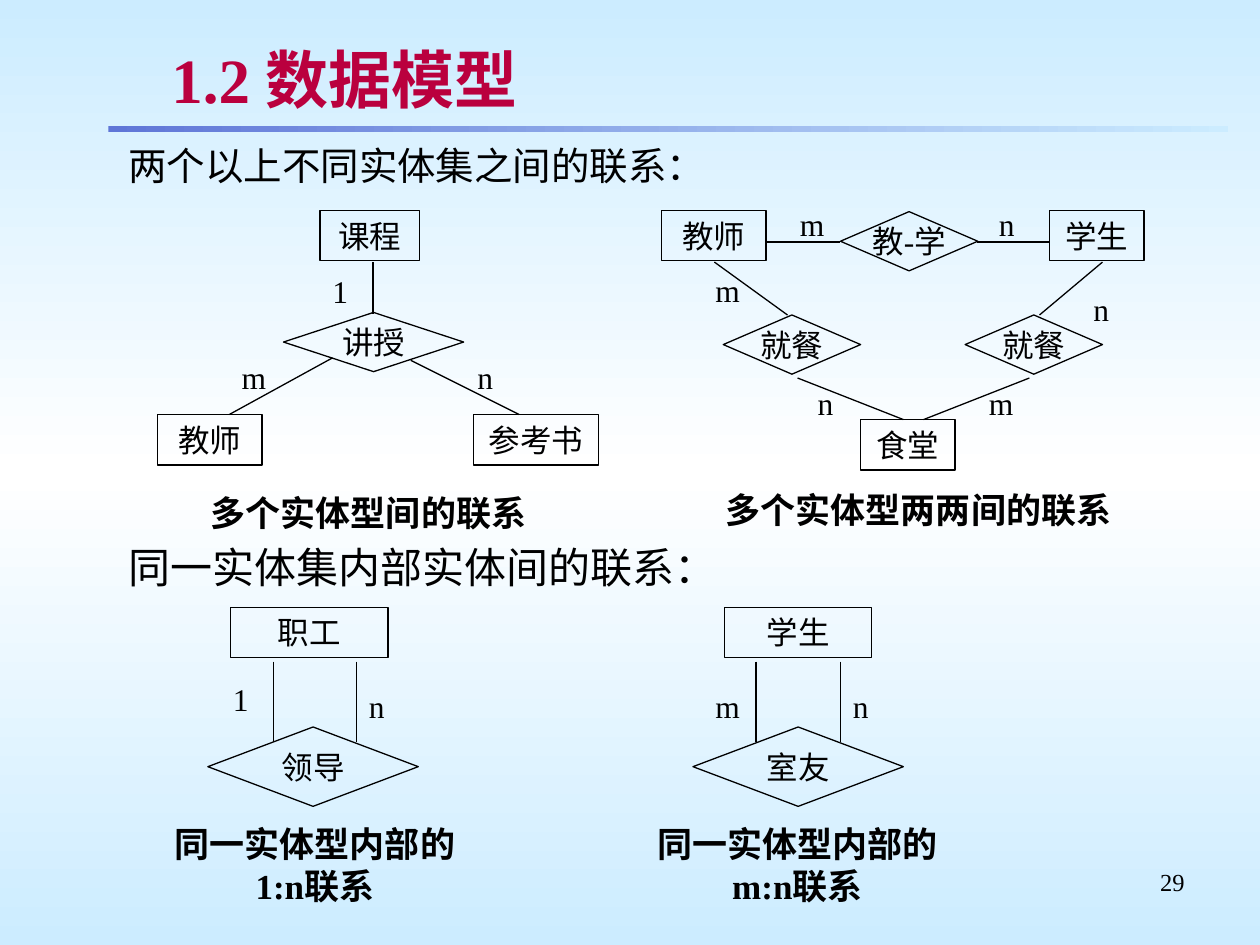
from copy import deepcopy
from dataclasses import dataclass
from typing import Any

from lxml import etree
from pptx import Presentation
from pptx.dml.color import RGBColor
from pptx.enum.shapes import MSO_CONNECTOR, MSO_SHAPE
from pptx.enum.text import MSO_ANCHOR, PP_ALIGN
from pptx.oxml.ns import qn
from pptx.util import Inches, Pt

BLACK = RGBColor(0x00, 0x00, 0x00)
WHITE = RGBColor(0xFF, 0xFF, 0xFF)
SKY = RGBColor(0xCC, 0xEC, 0xFF)
BLUE = RGBColor(0x5F, 0x76, 0xD7)
RED = RGBColor(0xBA, 0x00, 0x3E)
GREY = RGBColor(0xB2, 0xB2, 0xB2)

RECT, DIAMOND = MSO_SHAPE.RECTANGLE, MSO_SHAPE.DIAMOND
LINE = MSO_CONNECTOR.STRAIGHT
TOP, MIDDLE = MSO_ANCHOR.TOP, MSO_ANCHOR.MIDDLE
LEFT, CENTER, RIGHT = PP_ALIGN.LEFT, PP_ALIGN.CENTER, PP_ALIGN.RIGHT

SERIF, SANS = "Times New Roman", "Arial"
PLAIN = {"name": SERIF, "size": Pt(18), "bold": False}
BOLD = {**PLAIN, "size": Pt(20), "bold": True}
ROW = 0.4


@dataclass
class Node:
    text: str
    x: float
    y: float
    w: float
    h: float = ROW


@dataclass
class Link:
    x1: float
    y1: float
    x2: float
    y2: float


@dataclass
class Label:
    text: str
    x: float
    y: float


ENTITIES = [
    Node("课程", 2.54, 1.67, 0.79),
    Node("教师", 1.25, 3.29, 0.83),
    Node("参考书", 3.76, 3.29, 0.99),
    Node("教师", 5.25, 1.67, 0.83),
    Node("学生", 8.33, 1.67, 0.75),
    Node("食堂", 6.83, 3.33, 0.75),
    Node("职工", 1.83, 4.82, 1.25),
    Node("学生", 5.75, 4.82, 1.17),
]
BONDS = [
    Node("讲授", 2.25, 2.48, 1.43, 0.47),
    Node("教-学", 6.67, 1.68, 1.09, 0.47),
    Node("就餐", 5.74, 2.5, 1.09, 0.47),
    Node("就餐", 7.66, 2.5, 1.09, 0.47),
    Node("领导", 1.65, 5.77, 1.67, 0.63),
    Node("室友", 5.5, 5.77, 1.67, 0.63),
]
LINKS = [
    Link(2.96, 2.49, 2.96, 2.08),
    Link(1.82, 3.29, 2.64, 2.84),
    Link(3.26, 2.86, 4.12, 3.29),
    Link(6.08, 1.92, 6.67, 1.92),
    Link(7.75, 1.92, 8.33, 1.92),
    Link(5.67, 2.08, 6.25, 2.5),
    Link(8.25, 2.5, 8.75, 2.08),
    Link(6.33, 3, 7.17, 3.33),
    Link(7.33, 3.33, 8.17, 3),
    *(Link(x, 5.25, x, 5.89) for x in (2.17, 2.83, 6, 6.67)),
]
LABELS = [
    Label("1", 2.54, 2.11),
    Label("m", 1.82, 2.79),
    Label("n", 3.69, 2.79),
    Label("m", 6.25, 1.58),
    Label("n", 7.83, 1.58),
    Label("m", 5.58, 2.1),
    Label("n", 8.58, 2.25),
    Label("n", 6.39, 3),
    Label("m", 7.75, 3),
    Label("1", 1.75, 5.35),
    Label("n", 2.83, 5.4),
    Label("m", 5.58, 5.4),
    Label("n", 6.67, 5.4),
]
NOTES = [
    Node("多个实体型间的联系", 1.17, 3.85, 3.51, 0.44),
    Node("多个实体型两两间的联系", 5.33, 3.83, 3.92, 0.44),
    Node("同一实体型内部的1:n联系", 1.25, 6.48, 2.5, 0.77),
    Node("同一实体型内部的m:n联系", 5.08, 6.48, 2.5, 0.77),
]


def place(shape: Any, x: float, y: float, w: float, h: float) -> None:
    spots = {"left": x, "top": y, "width": w, "height": h}
    for key, value in spots.items():
        setattr(shape, key, Inches(value))


def write(shape: Any, text: str, style: dict[str, Any], align: Any = LEFT,
          anchor: Any = TOP, wrap: bool = True, color: RGBColor = BLACK,
          inset: float = 0.05, indent: bool = False) -> Any:
    frame = shape.text_frame
    frame.text = text
    form = {"word_wrap": wrap, "vertical_anchor": anchor,
            "margin_left": Inches(0.1), "margin_right": Inches(0.1),
            "margin_top": Inches(inset), "margin_bottom": Inches(inset)}
    for key, value in form.items():
        setattr(frame, key, value)
    para = frame.paragraphs[0]
    para.alignment = align
    para.space_before = Pt(0)
    if indent:
        para.level = 1
        props = para._p.get_or_add_pPr()
        props.set("marL", str(Inches(0.81)))
        props.set("indent", str(Inches(-0.31)))
        etree.SubElement(props, qn("a:buNone"))
    run = para.runs[0]
    for key, value in style.items():
        setattr(run.font, key, value)
    run.font.color.rgb = color
    return run


def box(slide: Any, node: Node, style: dict[str, Any], **form: Any) -> None:
    shape = slide.shapes.add_textbox(0, 0, 0, 0)
    place(shape, node.x, node.y, node.w, node.h)
    write(shape, node.text, style, **form)


def draw(slide: Any, node: Node, kind: Any, **form: Any) -> None:
    shape = slide.shapes.add_shape(kind, 0, 0, 0, 0)
    place(shape, node.x, node.y, node.w, node.h)
    shape.shadow.inherit = False
    shape.fill.background()
    shape.line.color.rgb = BLACK
    shape.line.width = Pt(0.75)
    write(shape, node.text, PLAIN, CENTER, **form)


def join(slide: Any, link: Link) -> None:
    ends = (Inches(v) for v in (link.x1, link.y1, link.x2, link.y2))
    line = slide.shapes.add_connector(LINE, *ends)
    line.line.color.rgb = BLACK
    line.line.width = Pt(0.75)
    etree.SubElement(line._element.spPr, qn("a:effectLst"))


def blend(fill: Any, root: Any, colors: list[RGBColor], angle: int) -> None:
    fill.gradient()
    fill.gradient_angle = angle
    stops = next(root.iter(qn("a:gsLst")))
    for _ in colors[2:]:
        stops.append(deepcopy(stops[-1]))
    for i, (stop, color) in enumerate(zip(fill.gradient_stops, colors)):
        stop.color.rgb = color
        stop.position = i / (len(colors) - 1)


def shade(run: Any) -> None:
    effects = etree.Element(qn("a:effectLst"))
    cast = etree.SubElement(effects, qn("a:outerShdw"), dist="35921", dir="2700000")
    etree.SubElement(cast, qn("a:srgbClr"), val=str(GREY))
    run._r.rPr.find(qn("a:solidFill")).addnext(effects)


def main() -> None:
    deck = Presentation()
    deck.slide_width, deck.slide_height = Inches(10), Inches(7.5)
    slide = deck.slides.add_slide(deck.slide_layouts[1])
    blend(slide.background.fill, slide._element, [SKY, WHITE, SKY], 90)

    bar = slide.shapes.add_shape(RECT, 0, 0, 0, 0)
    place(bar, 0.86, 1, 8.89, 0.05)
    bar.shadow.inherit = False
    bar.line.fill.background()
    blend(bar.fill, bar._element, [BLUE, SKY], 0)

    title, body = slide.shapes.title, slide.placeholders[1]
    place(title, 1.26, 0.29, 8.24, 0.67)
    shade(write(title, "1.2 数据模型", {**BOLD, "size": Pt(36)},
                anchor=MIDDLE, color=RED, inset=0.04))
    place(body, 0.42, 1.08, 9.25, 0.6)
    write(body, "两个以上不同实体集之间的联系：", {**PLAIN, "size": Pt(22)}, indent=True)
    box(slide, Node("同一实体集内部实体间的联系：", 0.42, 4.25, 9.17, 0.58),
        {**PLAIN, "name": SANS, "size": Pt(24)}, indent=True)

    for node in ENTITIES:
        draw(slide, node, RECT)
    for node in BONDS:
        draw(slide, node, DIAMOND, anchor=MIDDLE, wrap=False)
    for link in LINKS:
        join(slide, link)
    for label in LABELS:
        box(slide, Node(label.text, label.x, label.y, 0.36), PLAIN)
    for note in NOTES:
        box(slide, note, BOLD, align=CENTER)
    box(slide, Node("29", 7.17, 6.83, 2.33, 0.52), {**PLAIN, "size": Pt(14)}, align=RIGHT)
    deck.save("out.pptx")


if __name__ == "__main__":
    main()
